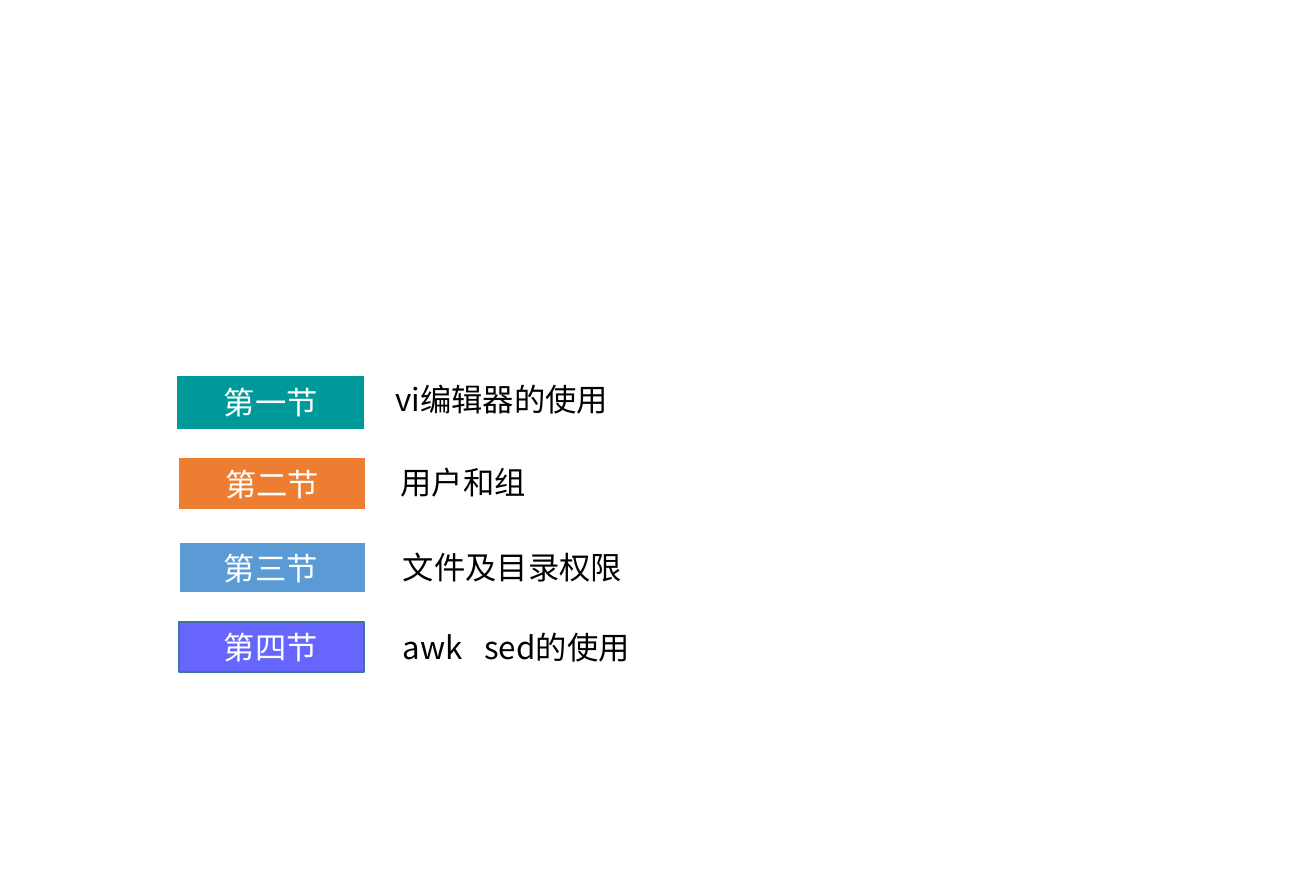
from lxml import etree
from pptx import Presentation
from pptx.dml.color import RGBColor
from pptx.enum.shapes import MSO_SHAPE
from pptx.enum.text import MSO_AUTO_SIZE
from pptx.oxml.ns import qn
from pptx.util import Inches, Pt

RECTANGLE = MSO_SHAPE.RECTANGLE
FIT_SHAPE = MSO_AUTO_SIZE.SHAPE_TO_FIT_TEXT
FONT_NAME = "Noto Sans CJK SC"

WHITE = RGBColor(0xFF, 0xFF, 0xFF)
BLACK = RGBColor(0x00, 0x00, 0x00)
TEAL = RGBColor(0x00, 0x99, 0x99)
ORANGE = RGBColor(0xED, 0x7D, 0x31)
BLUE = RGBColor(0x5B, 0x9B, 0xD5)
VIOLET = RGBColor(0x66, 0x66, 0xFF)
STEEL = RGBColor(0x41, 0x71, 0x9C)

CM_PER_INCH = 2.54
PAGE_WIDTH_CM = 26.7
PAGE_HEIGHT_CM = 18
LABEL_WIDTH = 0.95
TEXT_HEIGHT = 0.4

SECTIONS = [
    ("第一节", "vi编辑器的使用", (1.4, 2.99, 1.52, 0.45), TEAL, WHITE, 1.5,
     (1.69, 3.01), (3.06, 2.34)),
    ("第二节", "用户和组", (1.42, 3.65, 1.51, 0.43), ORANGE, WHITE, 1.5,
     (1.7, 3.67), (3.1, 2.11)),
    ("第三节", "文件及目录权限", (1.43, 4.33, 1.5, 0.41), BLUE, WHITE, 1.5,
     (1.69, 4.34), (3.12, 2.28)),
    ("第四节", "awk\tsed的使用", (1.43, 4.97, 1.48, 0.4), VIOLET, STEEL, 1,
     (1.69, 4.97), (3.12, 2.28)),
]


def add_bar(page, place, fill, line, line_width):
    bar = page.shapes.add_shape(RECTANGLE, *map(Inches, place))
    bar.shadow.inherit = False
    bar.fill.solid()
    bar.fill.fore_color.rgb = fill
    bar.line.color.rgb = line
    bar.line.width = Pt(line_width)


def add_tab_stop(para, position):
    properties = para._p.get_or_add_pPr()
    stops = etree.SubElement(properties, qn("a:tabLst"))
    etree.SubElement(stops, qn("a:tab"), pos=str(Inches(position)), algn="l")


def add_text(page, text, left, top, width, color=BLACK, size=18, wrap=True):
    box = page.shapes.add_textbox(
        Inches(left), Inches(top), Inches(width), Inches(TEXT_HEIGHT))
    frame = box.text_frame
    frame.word_wrap = wrap
    frame.auto_size = FIT_SHAPE
    para = frame.paragraphs[0]
    if "\t" in text:
        add_tab_stop(para, 0.65)
    span = para.add_run()
    span.text = text
    span.font.size = Pt(size)
    span.font.color.rgb = color
    span.font.name = FONT_NAME
    etree.SubElement(span.font._element, qn("a:ea"), typeface=FONT_NAME)


def main():
    deck = Presentation()
    deck.slide_width = Inches(PAGE_WIDTH_CM / CM_PER_INCH)
    deck.slide_height = Inches(PAGE_HEIGHT_CM / CM_PER_INCH)
    page = deck.slides.add_slide(deck.slide_layouts[6])
    for label, title, place, fill, line, line_width, label_at, title_span in SECTIONS:
        add_bar(page, place, fill, line, line_width)
        add_text(page, label, *label_at, LABEL_WIDTH, color=WHITE, wrap=False)
        title_left, title_width = title_span
        add_text(page, title, title_left, place[1], title_width)
    deck.save("out.pptx")


if __name__ == "__main__":
    main()
